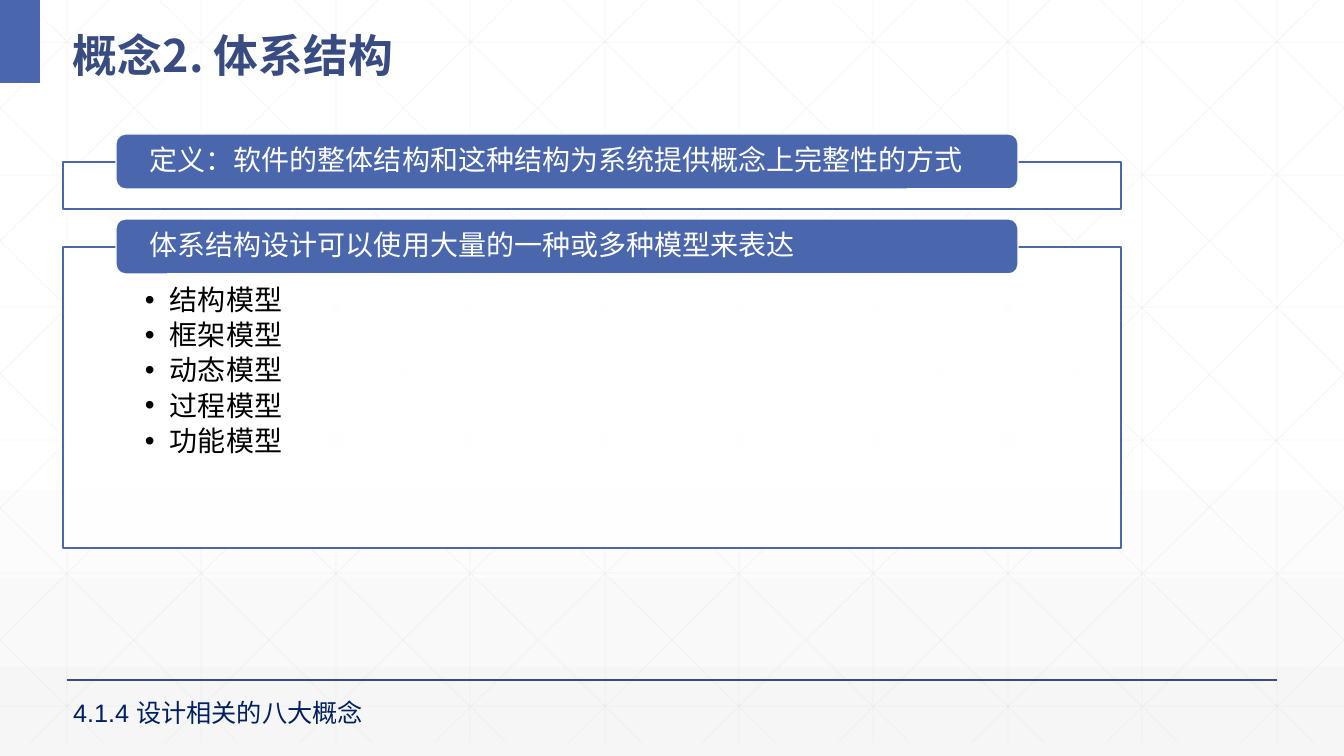
from dataclasses import dataclass

from lxml import etree
from pptx import Presentation
from pptx import util as u
from pptx.dml.color import RGBColor
from pptx.enum import shapes, text
from pptx.oxml import ns

WIDTH, HEIGHT = 1344, 756
SCALE = 12192000 / WIDTH  # EMU in one px


@dataclass(frozen=True)
class Theme:
    blue: str = "4A66AC"
    dark_blue: str = "384C81"
    navy: str = "002060"
    white: str = "FFFFFF"
    black: str = "000000"
    shade: str = "F6F6F6"
    grid: str = "D9D9D9"
    title_font: str = "Noto Sans CJK SC"
    body_font: str = "Arial"
    title_size: int = 32
    body_size: int = 20
    footer_size: int = 18


def px(n):
    return u.Emu(round(n * SCALE))


def rgb(color):
    return RGBColor.from_string(color)


def add_alpha(fill_owner, percent):
    """Make the solid colour below fill_owner partly transparent."""
    color = fill_owner.find(".//" + ns.qn("a:srgbClr"))
    etree.SubElement(color, ns.qn("a:alpha"), val=str(percent * 1000))


class SlideBuilder:
    def __init__(self, s, theme):
        self.s, self.theme = s, theme

    def background(self):
        fill = self.s.background.fill
        fill.gradient()
        fill.gradient_angle = 270
        colors = self.theme.white, self.theme.shade
        for stop, position, color in zip(fill.gradient_stops, (0.53, 1), colors):
            stop.position = position
            stop.color.rgb = rgb(color)

    def line(self, x1, y1, x2, y2, color, width, alpha=None):
        sp = self.s.shapes.add_connector(
            shapes.MSO_CONNECTOR.STRAIGHT, px(x1), px(y1), px(x2), px(y2))
        sp.line.color.rgb = rgb(color)
        sp.line.width = u.Pt(width)
        props = sp._element.spPr
        if alpha:
            add_alpha(props.find(ns.qn("a:ln")), alpha)
        etree.SubElement(props, ns.qn("a:effectLst"))

    def box(self, x, y, w, h, fill, border=None, alpha=None, rounded=False):
        kind = shapes.MSO_SHAPE.ROUNDED_RECTANGLE if rounded else shapes.MSO_SHAPE.RECTANGLE
        sp = self.s.shapes.add_shape(kind, px(x), px(y), px(w), px(h))
        sp.shadow.inherit = False
        sp.fill.solid()
        sp.fill.fore_color.rgb = rgb(fill)
        if alpha:
            add_alpha(sp._element.spPr.find(ns.qn("a:solidFill")), alpha)
        if border:
            sp.line.color.rgb = rgb(border)
            sp.line.width = u.Pt(1)
        else:
            sp.line.fill.background()
        return sp

    def label(self, x, y, w, h, content, **style):
        sp = self.s.shapes.add_textbox(px(x), px(y), px(w), px(h))
        self.set_text(sp, [content], **style)

    def set_text(self, sp, lines, size, color, font=None, bold=False, insets=(10, 5, 10, 5),
                 middle=False, spacing=1.0, after=0, bullets=False):
        font = font or self.theme.body_font
        tf = sp.text_frame
        tf.word_wrap = True
        tf.vertical_anchor = text.MSO_ANCHOR.MIDDLE if middle else text.MSO_ANCHOR.TOP
        tf.margin_left, tf.margin_top, tf.margin_right, tf.margin_bottom = map(px, insets)
        tf.text = "\n".join(lines)
        for p in tf.paragraphs:
            p.alignment = text.PP_ALIGN.LEFT
            p.line_spacing = spacing
            p.space_after = u.Pt(after)
            if bullets:
                self.bullet(p)
            for r in p.runs:
                r.font.size, r.font.bold, r.font.name = u.Pt(size), bold, font
                r.font.color.rgb = rgb(color)
                etree.SubElement(r.font._element, ns.qn("a:ea"), typeface=font)

    def bullet(self, p):
        props = p._p.get_or_add_pPr()
        props.set("marL", str(px(25)))
        props.set("indent", str(-px(25)))
        etree.SubElement(props, ns.qn("a:buFont"), typeface=self.theme.body_font)
        etree.SubElement(props, ns.qn("a:buChar"), char="•")

    def grid(self):
        bottom, run, step = 743, 751, 134.4
        ends = [(x, 0, x, bottom) for x in (round(67 + step * i) for i in range(10))]
        ends += [(0, y, WIDTH, y) for y in (round(42 + 132.7 * i) for i in range(6))]
        # Diagonals cut at the slide edges, each with its mirror image
        for i in range(-5, 10):
            top = round(25 + step * i)
            x1, x2 = max(top, 0), min(top + run, WIDTH)
            y1, y2 = (round((x - top) * bottom / run) for x in (x1, x2))
            ends += [(x1, y1, x2, y2), (WIDTH - x1, y1, WIDTH - x2, y2)]
        for end in ends:
            self.line(*end, self.theme.grid, 0.5, alpha=25)

    def panel(self, y, h, heading, items=()):
        t = self.theme
        body = self.box(63, y, 1058, h, t.white, t.blue, alpha=90)
        if items:
            self.set_text(body, items, t.body_size, t.black, insets=(82, 39, 82, 16),
                          spacing=0.9, after=3.6, bullets=True)
        header = self.box(116, y - 28, 902, 55, t.blue, t.white, rounded=True)
        self.set_text(header, [heading], t.body_size, t.white, insets=(31, 0, 31, 0),
                      middle=True, spacing=0.9)


def main():
    prs = Presentation()
    prs.slide_width, prs.slide_height = px(WIDTH), px(HEIGHT)
    theme = Theme()
    slide = SlideBuilder(prs.slides.add_slide(prs.slide_layouts[6]), theme)

    # Backdrop
    slide.background()
    slide.grid()
    slide.line(67, 680, 1277, 680, theme.dark_blue, 1)
    slide.box(0, 0, 40, 83, theme.blue)

    # Title
    slide.label(63, 10, 1252, 73, "概念2. 体系结构", size=theme.title_size,
                color=theme.dark_blue, font=theme.title_font, bold=True,
                middle=True, spacing=1.3)

    # Definition and models
    slide.panel(162, 47, "定义：软件的整体结构和这种结构为系统提供概念上完整性的方式")
    slide.panel(247, 301, "体系结构设计可以使用大量的一种或多种模型来表达",
                ["结构模型", "框架模型", "动态模型", "过程模型", "功能模型"])

    # Section name
    slide.label(63, 692, 381, 40, "4.1.4 设计相关的八大概念",
                size=theme.footer_size, color=theme.navy)

    prs.save("out.pptx")


if __name__ == "__main__":
    main()
